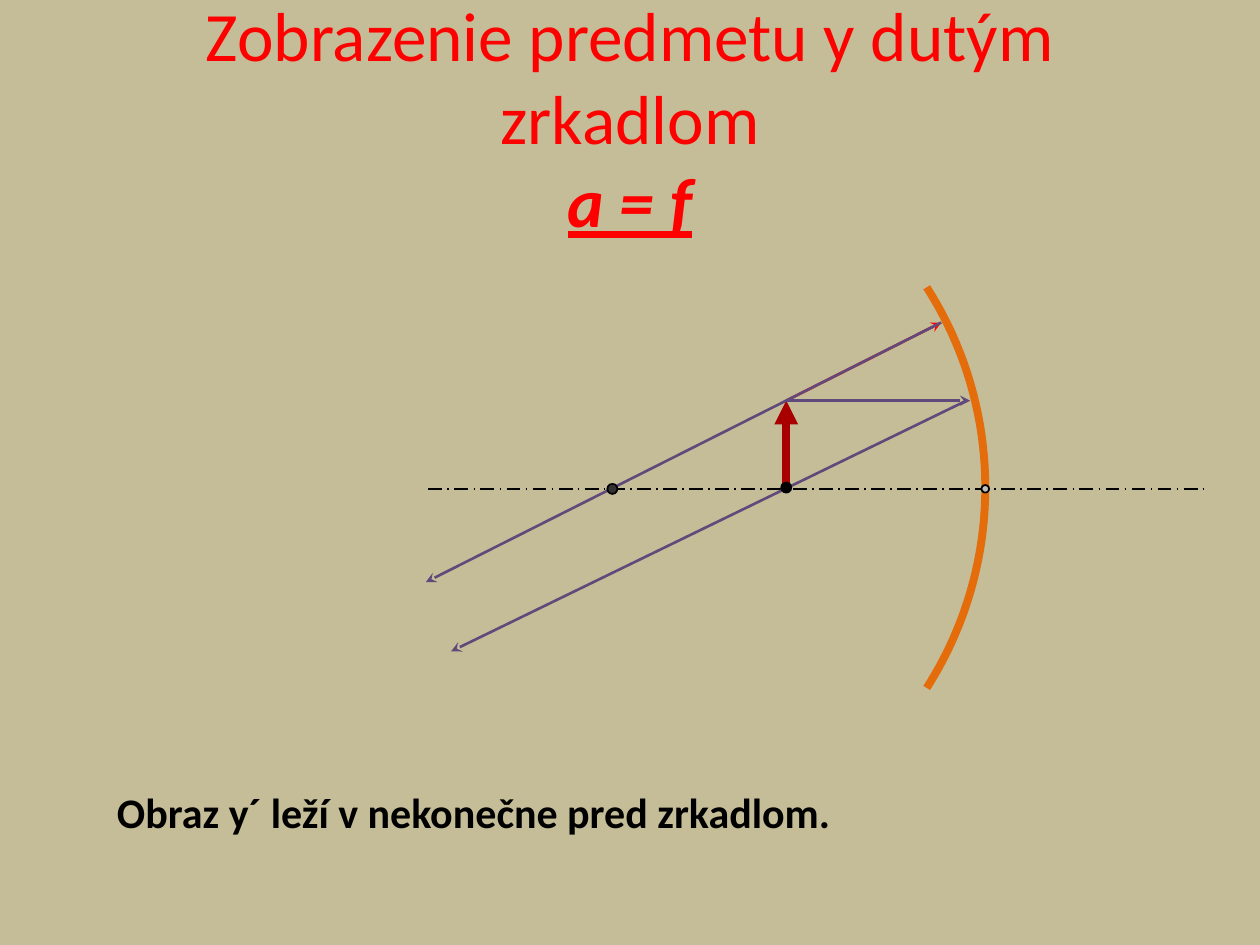
from dataclasses import dataclass
from math import asin, cos, sin
from typing import Optional

from lxml.etree import SubElement
from pptx import Presentation
from pptx.dml.color import RGBColor
from pptx.enum.dml import MSO_LINE as Dash
from pptx.enum.shapes import MSO_CONNECTOR as Connector, MSO_SHAPE as Shape
from pptx.enum.text import MSO_ANCHOR as Anchor, MSO_AUTO_SIZE as AutoSize, PP_ALIGN as Align
from pptx.oxml.ns import qn
from pptx.util import Inches, Pt

# Grid of 100 columns by 75 rows; every length below is in cells
COLUMNS, ROWS = 100, 75
CELL = Inches(10) // COLUMNS

RED, VIOLET, ORANGE = "FF0000", "604A7B", "E46C0A"
DARK_RED, BLACK = "A80000", "000000"

# Optical layout: centre of curvature, focus and vertex lie on the axis
AXIS_ROW = 38.8
CENTRE, FOCUS, VERTEX = 48.6, 62.4, 78.2
OBJECT_TOP = 31.8
MIRROR_CENTRE = (48.7, 38.7)
MIRROR_RADIUS, MIRROR_HALF_HEIGHT = 29.5, 15.9


@dataclass(frozen=True)
class Line:
    start: tuple[float, float]
    end: tuple[float, float]
    color: str
    width: float = 1.5
    tip: Optional[str] = "stealth"
    dash: Optional[Dash] = None


@dataclass(frozen=True)
class AxisPoint:
    column: float
    row: float
    diameter: float
    fill: str


def cells(count: float) -> int:
    return round(count * CELL)


def color(hex_code: str) -> RGBColor:
    return RGBColor.from_string(hex_code)


def write(paragraph, text: str, size: float, ink: str, **styles: bool) -> None:
    """Add a run; styles are font attributes such as bold or italic."""
    run = paragraph.add_run()
    run.text = text
    font = run.font
    font.name, font.size = "Calibri", Pt(size)
    font.color.rgb = color(ink)
    for style, value in styles.items():
        setattr(font, style, value)


def add_frame(slide, left: float, top: float, width: float, height: float):
    frame = slide.shapes.add_textbox(*map(cells, (left, top, width, height))).text_frame
    frame.word_wrap = True
    return frame


def draw_line(slide, line: Line) -> None:
    connector = slide.shapes.add_connector(
        Connector.STRAIGHT, *map(cells, (*line.start, *line.end)))
    connector.line.color.rgb = color(line.color)
    connector.line.width = Pt(line.width)
    if line.dash:
        connector.line.dash_style = line.dash
    properties = connector.element.spPr
    if line.tip:
        SubElement(properties.find(qn("a:ln")), qn("a:tailEnd"), type=line.tip)
    SubElement(properties, qn("a:effectLst"))


def draw_point(slide, point: AxisPoint) -> None:
    radius = point.diameter / 2
    dot = slide.shapes.add_shape(Shape.OVAL, *map(cells, (
        point.column - radius, point.row - radius, point.diameter, point.diameter)))
    dot.shadow.inherit = False
    dot.fill.solid()
    dot.fill.fore_color.rgb = color(point.fill)
    dot.line.color.rgb = color(BLACK)
    dot.line.width = Pt(1)


def draw_mirror(slide, steps: int = 40) -> None:
    """Circular arc, symmetric about the axis; its frame starts at the centre."""
    column, row = MIRROR_CENTRE
    limit = asin(MIRROR_HALF_HEIGHT / MIRROR_RADIUS)
    angles = [limit * (2 * step / steps - 1) for step in range(steps + 1)]
    arc = [(cells(column + MIRROR_RADIUS * cos(angle)),
            cells(row + MIRROR_RADIUS * sin(angle))) for angle in angles]
    builder = slide.shapes.build_freeform(cells(column), cells(row))
    builder.move_to(*arc[0])
    builder.add_line_segments(arc[1:], close=False)
    mirror = builder.convert_to_shape()
    mirror.shadow.inherit = False
    mirror.fill.background()
    mirror.line.color.rgb = color(ORANGE)
    mirror.line.width = Pt(4.5)


def main() -> None:
    deck = Presentation()
    deck.slide_width, deck.slide_height = cells(COLUMNS), cells(ROWS)
    slide = deck.slides.add_slide(deck.slide_layouts[6])
    slide.background.fill.solid()
    slide.background.fill.fore_color.rgb = color("C4BD97")

    # Title
    title = add_frame(slide, 5, 3, 90, 12.5)
    title.vertical_anchor = Anchor.MIDDLE
    heading = title.paragraphs[0]
    heading.alignment = Align.CENTER
    write(heading, "Zobrazenie predmetu y dutým zrkadlom", 39.6, RED)
    heading.add_line_break()
    write(heading, "a = f", 39.6, RED, bold=True, italic=True, underline=True)

    # Diagram, from back to front
    object_tip = (FOCUS, OBJECT_TOP)
    upper_hit = (74.7, 25.6)
    draw_line(slide, Line(object_tip, upper_hit, RED))
    draw_line(slide, Line((34, AXIS_ROW), (95.7, AXIS_ROW), BLACK, 1, None,
                          Dash.LONG_DASH_DOT))
    draw_mirror(slide)
    draw_point(slide, AxisPoint(VERTEX, AXIS_ROW, 0.6, "C0C0C0"))
    draw_line(slide, Line(object_tip, (77, OBJECT_TOP), VIOLET))
    draw_line(slide, Line((76.7, OBJECT_TOP), (35.8, 51.7), VIOLET))
    draw_line(slide, Line((FOCUS, AXIS_ROW), object_tip, DARK_RED, 4.5, "triangle"))
    draw_point(slide, AxisPoint(FOCUS, AXIS_ROW - 0.1, 0.8, BLACK))
    draw_line(slide, Line(upper_hit, (33.8, 46.2), VIOLET))
    draw_point(slide, AxisPoint(CENTRE, AXIS_ROW, 0.8, "333333"))

    # Conclusion
    conclusion = add_frame(slide, 8.3, 61.9, 74.8, 5)
    conclusion.auto_size = AutoSize.SHAPE_TO_FIT_TEXT
    write(conclusion.paragraphs[0], "Obraz y´ leží v nekonečne pred zrkadlom.",
          24, BLACK, bold=True)

    deck.save("out.pptx")


if __name__ == "__main__":
    main()
